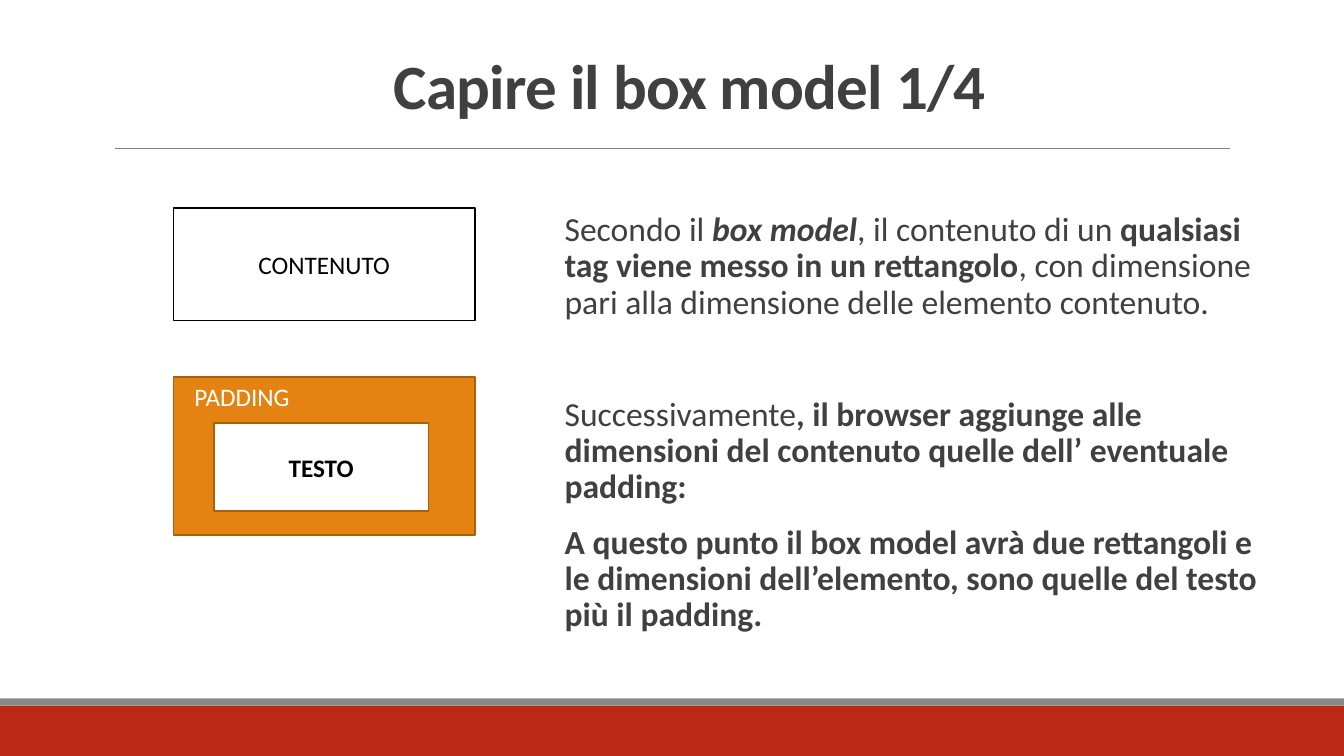
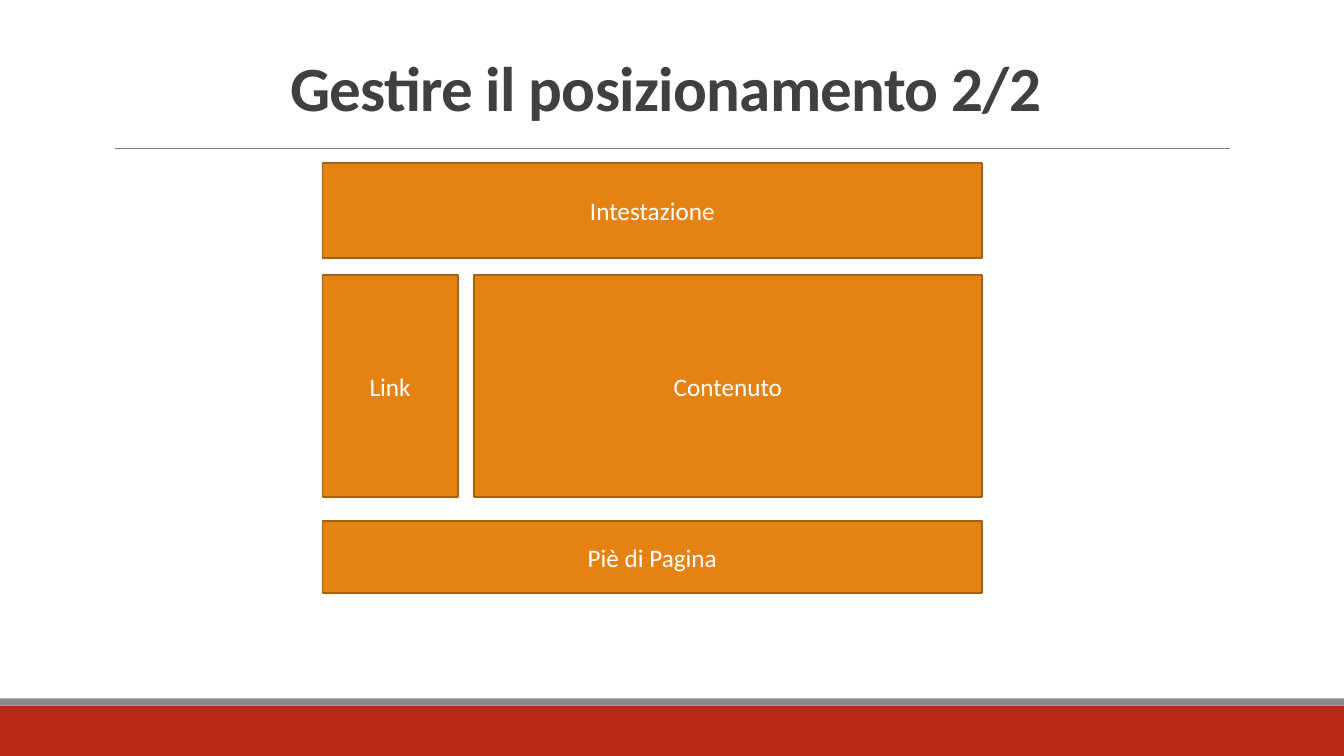
import pptx
import pptx.dml.color
import pptx.enum.shapes
import pptx.enum.text
import pptx.util
import lxml.etree
from pptx.oxml.ns import qn

Inches = pptx.util.Inches
Pt = pptx.util.Pt
Align = pptx.enum.text.PP_ALIGN
Anchor = pptx.enum.text.MSO_ANCHOR

THEME = {
    "font": "Calibri",
    "title": 45, "body": 24, "label": 18,
    "text": "404040", "white": "FFFFFF", "black": "000000",
    "orange": "E48312", "brown": "A9610D",
    "red": "BC2816", "gray": "8A8989", "rule": "808080",
}
SLIDE_W, SLIDE_H = 13.33, 7.5
RED_H, GRAY_H = 0.5, 0.07

MODEL_TITLE = ("Capire il box model 1/4", (2.34, 0.27, 9, 0.99))
MODEL_TEXT = [
    (0, [("Secondo il ", ""), ("box model", "bi"), (", il contenuto di un ", ""),
         ("qualsiasi tag viene messo in un rettangolo", "b"),
         (", con dimensione pari alla dimensione delle elemento contenuto.", "")]),
    (52, [("Successivamente", ""),
          (", il browser aggiunge alle dimensioni del contenuto quelle dell’ eventuale padding:", "b")]),
    (12, [("A questo punto il box model avrà due rettangoli e le dimensioni dell’elemento, "
           "sono quelle del testo più il padding.", "b")]),
]
MODEL_BOXES = [
    ("CONTENUTO", (1.72, 2.06, 2.99, 1.12), "white", "black", "black", False),
    ("", (1.72, 3.74, 2.99, 1.57), "orange", "brown", "white", False),
    ("TESTO", (2.12, 4.2, 2.13, 0.87), "white", "brown", "black", True),
]

LAYOUT_TITLE = ("Gestire il posizionamento 2/2", (2.1, 0.29, 9, 0.99))
LAYOUT_LEFT, LAYOUT_W, COLUMN_GAP = 3.2, 6.54, 0.16
LAYOUT_ROWS = [
    (1.62, 0.94, [("Intestazione", LAYOUT_W)]),
    (2.73, 2.2, [("Link", 1.34), ("Contenuto", LAYOUT_W - 1.34 - COLUMN_GAP)]),
    (5.17, 0.71, [("Piè di Pagina", LAYOUT_W)]),
]


def color(name):
    return pptx.dml.color.RGBColor.from_string(THEME[name])


def style(run, size, ink, bold=False, italic=False):
    run.font.name = THEME["font"]
    run.font.size = Pt(THEME[size])
    run.font.color.rgb = color(ink)
    run.font.bold = bold
    run.font.italic = italic


def add_box(slide, place, fill, edge=None, text="", ink="white", bold=False):
    box = slide.shapes.add_shape(
        pptx.enum.shapes.MSO_SHAPE.RECTANGLE, *map(Inches, place))
    box.shadow.inherit = False
    box.fill.solid()
    box.fill.fore_color.rgb = color(fill)
    if edge:
        box.line.color.rgb = color(edge)
        box.line.width = Pt(1.25)
    else:
        box.line.fill.background()
    if text:
        frame = box.text_frame
        frame.text = text
        frame.vertical_anchor = Anchor.MIDDLE
        frame.paragraphs[0].alignment = Align.CENTER
        style(frame.paragraphs[0].runs[0], "label", ink, bold)


def add_text(slide, place):
    frame = slide.shapes.add_textbox(*map(Inches, place)).text_frame
    frame.word_wrap = True
    return frame


def add_base(deck, title, title_place):
    slide = deck.slides.add_slide(deck.slide_layouts[6])
    red_top = SLIDE_H - RED_H
    add_box(slide, (0, red_top, SLIDE_W, RED_H), "red")
    add_box(slide, (0, red_top - GRAY_H, SLIDE_W, GRAY_H), "gray")

    rule = slide.shapes.add_connector(
        pptx.enum.shapes.MSO_CONNECTOR.STRAIGHT,
        Inches(1.14), Inches(1.47), Inches(12.2), Inches(1.47))
    rule.line.color.rgb = color("rule")
    rule.line.width = Pt(0.5)
    lxml.etree.SubElement(rule._element.spPr, qn("a:effectLst"))

    heading = add_text(slide, title_place)
    heading.text = title
    heading.vertical_anchor = Anchor.BOTTOM
    line = heading.paragraphs[0]
    line.alignment = Align.CENTER
    line.line_spacing = 0.85
    style(line.runs[0], "title", "text", True)
    line.runs[0]._r.get_or_add_rPr().set("spc", "-50")
    return slide


def build_model(deck):
    slide = add_base(deck, *MODEL_TITLE)
    body = add_text(slide, (5.6, 2.06, 7, 4.67))
    body.margin_left = body.margin_right = 0
    for index, (before, pieces) in enumerate(MODEL_TEXT):
        paragraph = body.add_paragraph() if index else body.paragraphs[0]
        paragraph.line_spacing = 0.9
        paragraph.space_before = Pt(before)
        paragraph.space_after = Pt(2)
        for words, marks in pieces:
            run = paragraph.add_run()
            run.text = words
            style(run, "body", "text", "b" in marks, "i" in marks)

    for text, place, fill, edge, ink, bold in MODEL_BOXES:
        add_box(slide, place, fill, edge, text, ink, bold)
    padding = add_text(slide, (1.83, 3.73, 2.6, 0.4))
    padding.text = "PADDING"
    style(padding.paragraphs[0].runs[0], "label", "white")


def build_layout(deck):
    slide = add_base(deck, *LAYOUT_TITLE)
    for top, height, areas in LAYOUT_ROWS:
        left = LAYOUT_LEFT
        for label, width in areas:
            add_box(slide, (left, top, width, height), "orange", "brown", label)
            left += width + COLUMN_GAP


def main():
    deck = pptx.Presentation()
    deck.slide_width = Inches(SLIDE_W)
    deck.slide_height = Inches(SLIDE_H)
    build_model(deck)
    build_layout(deck)
    deck.save("out.pptx")


if __name__ == "__main__":
    main()
